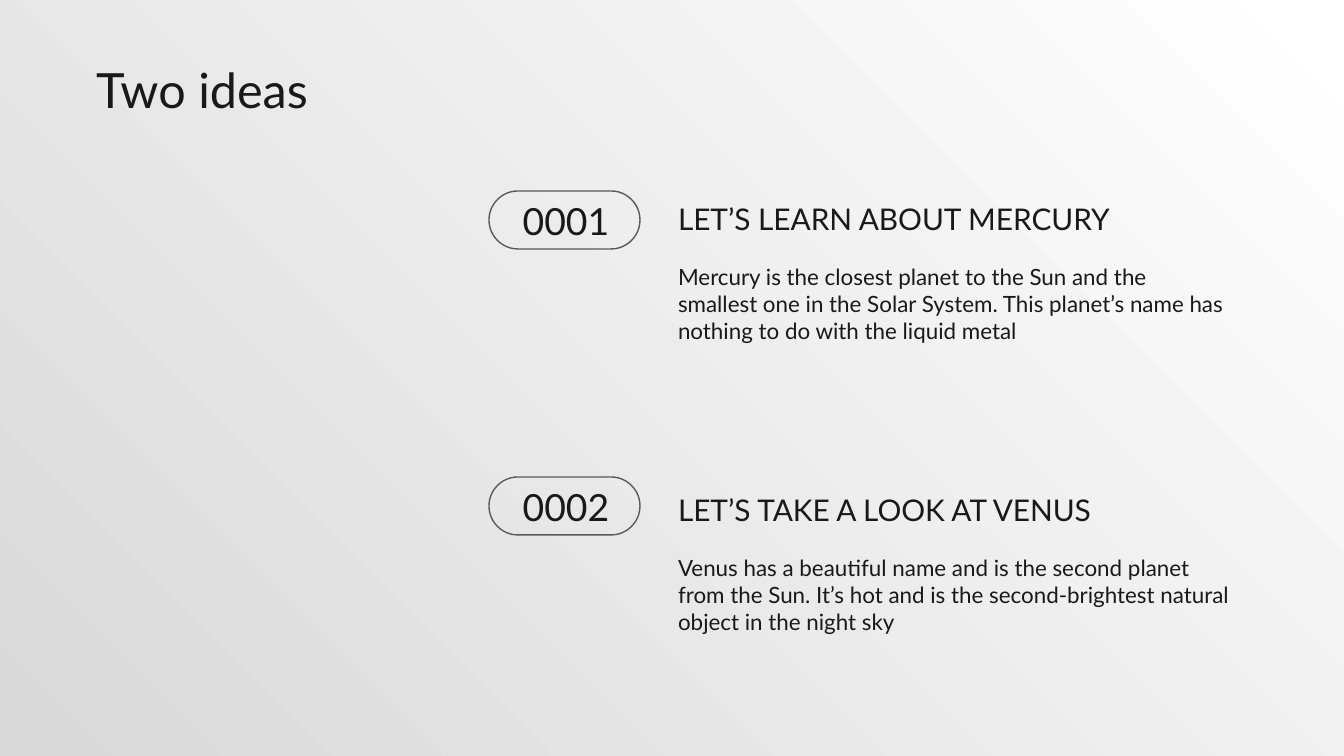
from pptx import Presentation
from pptx.dml.color import RGBColor
from pptx.enum.shapes import MSO_SHAPE
from pptx.enum.text import MSO_ANCHOR as Anchor, MSO_AUTO_SIZE as AutoSize, PP_ALIGN as Align
from pptx.oxml.ns import qn
from pptx.util import Emu, Pt

EMU_PER_PX = 914400 / 134.4
INK = RGBColor(0x19, 0x19, 0x19)
OUTLINE = RGBColor(0x59, 0x59, 0x59)
WHITE = RGBColor(0xFF, 0xFF, 0xFF)
GREY = RGBColor(0xD9, 0xD9, 0xD9)
FONT = "Lato"
INSET = 13

# Number, heading, description, top of the heading, top of the pill
IDEAS = [
    ("0001", "LET’S LEARN ABOUT MERCURY",
     "Mercury is the closest planet to the Sun and the smallest one in the Solar System. "
     "This planet’s name has nothing to do with the liquid metal", 165, 191),
    ("0002", "LET’S TAKE A LOOK AT VENUS",
     "Venus has a beautiful name and is the second planet from the Sun. It’s hot and is "
     "the second-brightest natural object in the night sky", 456, 477),
]


def px(length):
    return Emu(round(length * EMU_PER_PX))


def place(shape, left, top, width, height):
    shape.left, shape.top = px(left), px(top)
    shape.width, shape.height = px(width), px(height)


def write(shape, text, size, anchor=Anchor.TOP, align=Align.LEFT):
    frame = shape.text_frame
    frame.text = text
    frame.word_wrap = True
    frame.auto_size = AutoSize.NONE
    frame.vertical_anchor = anchor
    frame.margin_left = frame.margin_right = px(INSET)
    frame.margin_top = frame.margin_bottom = px(INSET)
    paragraph = frame.paragraphs[0]
    paragraph.alignment = align
    paragraph.space_before = Pt(0)
    paragraph.line_spacing = 1.0
    # Plain text: no bullet and no hanging indent
    properties = paragraph._p.get_or_add_pPr()
    properties.set("marL", "0")
    properties.set("indent", "0")
    properties.append(properties.makeelement(qn("a:buNone"), {}))
    font = paragraph.font
    font.name, font.size, font.bold = FONT, Pt(size), False
    font.color.rgb = INK


def paint_background(slide):
    fill = slide.background.fill
    fill.gradient()
    fill.gradient_angle = 225
    for stop, color in zip(fill.gradient_stops, (WHITE, GREY)):
        stop.color.rgb = color


def add_number(slide, number, top):
    pill = slide.shapes.add_shape(MSO_SHAPE.ROUNDED_RECTANGLE,
                                  px(489), px(top), px(151), px(58))
    pill.adjustments[0] = 0.5
    pill.shadow.inherit = False
    pill.fill.background()
    pill.line.color.rgb = OUTLINE
    pill.line.width = Pt(0.75)
    label = slide.shapes.add_textbox(px(502), px(top + 7), px(128), px(46))
    write(label, number, 20, Anchor.MIDDLE, Align.CENTER)


def fill_idea(heading_holder, body_holder, heading, description, top):
    place(heading_holder, 665, top, 579, 85)
    write(heading_holder, heading, 16, Anchor.BOTTOM)
    place(body_holder, 665, top + 85, 579, 172)
    write(body_holder, description, 12)


def main():
    deck = Presentation()
    deck.slide_width, deck.slide_height = px(1344), px(756)
    slide = deck.slides.add_slide(deck.slide_layouts.get_by_name("Comparison"))
    paint_background(slide)

    # Title
    title, *holders = slide.placeholders
    place(title, 83, 47, 1227, 85)
    write(title, "Two ideas", 26)

    # Ideas: each takes a heading and a body placeholder
    pairs = zip(holders[::2], holders[1::2])
    for (heading_holder, body_holder), idea in zip(pairs, IDEAS):
        number, heading, description, top, pill_top = idea
        fill_idea(heading_holder, body_holder, heading, description, top)
        add_number(slide, number, pill_top)

    deck.save("out.pptx")


if __name__ == "__main__":
    main()
